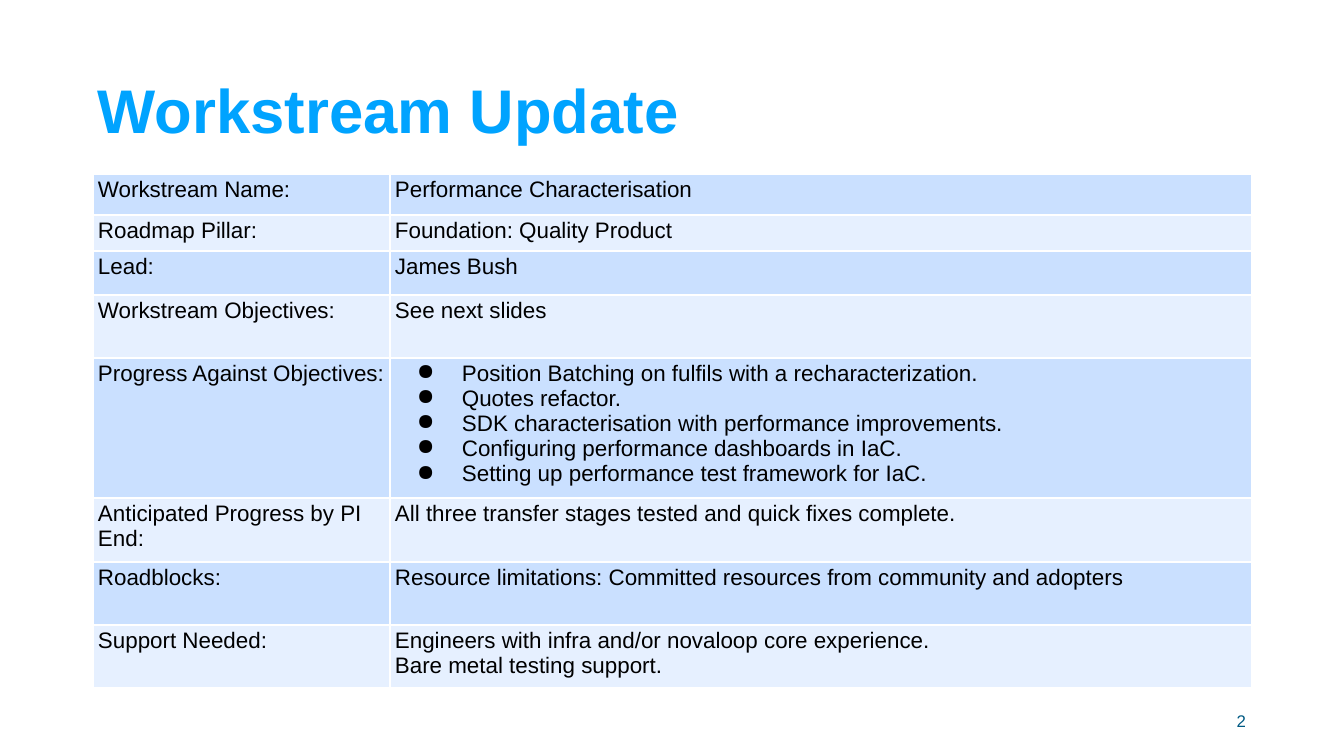
from lxml import etree
from pptx import Presentation
from pptx.dml.color import RGBColor
from pptx.enum.text import MSO_ANCHOR, PP_ALIGN
from pptx.oxml.ns import qn
from pptx.util import Emu, Pt

MIDDLE = MSO_ANCHOR.MIDDLE
LEFT, RIGHT = PP_ALIGN.LEFT, PP_ALIGN.RIGHT

PX = 914400 / 134.4
FONT = "Arial"
INSET_X, INSET_Y = 5, 3
BULLET_MARGIN, BULLET_HANG = 67, 45

TITLE_BLUE = RGBColor(0x00, 0xA3, 0xFF)
NUMBER_BLUE = RGBColor(0x00, 0x5A, 0x83)
BLACK = RGBColor(0x00, 0x00, 0x00)
WHITE = RGBColor(0xFF, 0xFF, 0xFF)
BANDS = (RGBColor(0xCA, 0xE0, 0xFF), RGBColor(0xE6, 0xF0, 0xFF))

COLUMN_WIDTHS = (297, 862)
ROWS = (
    (41, "Workstream Name:", ["Performance Characterisation"]),
    (36, "Roadmap Pillar:", ["Foundation: Quality Product"]),
    (44, "Lead:", ["James Bush"]),
    (63, "Workstream Objectives:", ["See next slides"]),
    (130, "Progress Against Objectives:", [
        "Position Batching on fulfils with a recharacterization.",
        "Quotes refactor.",
        "SDK characterisation with performance improvements.",
        "Configuring performance dashboards in IaC.",
        "Setting up performance test framework for IaC.",
    ]),
    (64, "Anticipated Progress by PI End:",
     ["All three transfer stages tested and quick fixes complete."]),
    (63, "Roadblocks:",
     ["Resource limitations: Committed resources from community and adopters"]),
    (63, "Support Needed:", [
        "Engineers with infra and/or novaloop core experience.",
        "Bare metal testing support.",
    ]),
)
BULLETED_ROW = 4


def px(length):
    return Emu(round(length * PX))


def set_insets(holder):
    holder.margin_left = holder.margin_right = px(INSET_X)
    holder.margin_top = holder.margin_bottom = px(INSET_Y)


def style_font(paragraph, size, color, bold=False):
    font = paragraph.font
    font.name = FONT
    font.size = Pt(size)
    font.bold = bold
    font.color.rgb = color


def add_text(slide, text, box, size, color, bold=False, align=LEFT, spacing=1.0):
    shape = slide.shapes.add_textbox(*map(px, box))
    frame = shape.text_frame
    frame.word_wrap = True
    frame.vertical_anchor = MIDDLE
    set_insets(frame)
    frame.text = text
    paragraph = frame.paragraphs[0]
    paragraph.alignment = align
    paragraph.line_spacing = spacing
    style_font(paragraph, size, color, bold)


def add_bullet(paragraph):
    properties = paragraph._p.get_or_add_pPr()
    properties.set("marL", str(px(BULLET_MARGIN)))
    properties.set("indent", str(-px(BULLET_HANG)))
    bullet = etree.Element(qn("a:buChar"), char="●")
    properties.insert_element_before(bullet, "a:tabLst", "a:defRPr", "a:extLst")


def set_borders(cell, color, width):
    properties = cell._tc.get_or_add_tcPr()
    for side in ("a:lnL", "a:lnR", "a:lnT", "a:lnB"):
        line = etree.SubElement(properties, qn(side), w=str(Pt(width)))
        fill = etree.SubElement(line, qn("a:solidFill"))
        etree.SubElement(fill, qn("a:srgbClr"), val=str(color))


def fill_cell(cell, lines, band, bulleted=False):
    set_insets(cell)
    set_borders(cell, WHITE, 1)
    cell.fill.solid()
    cell.fill.fore_color.rgb = band
    cell.text = "\n".join(lines)
    for paragraph in cell.text_frame.paragraphs:
        style_font(paragraph, 12, BLACK)
        if bulleted:
            add_bullet(paragraph)


def add_status_table(slide, left, top):
    height = sum(row[0] for row in ROWS)
    box = (left, top, sum(COLUMN_WIDTHS), height)
    table = slide.shapes.add_table(len(ROWS), len(COLUMN_WIDTHS), *map(px, box)).table
    table.first_row = False
    table.horz_banding = False
    for column, width in zip(table.columns, COLUMN_WIDTHS):
        column.width = px(width)
    for index, (row_height, label, lines) in enumerate(ROWS):
        table.rows[index].height = px(row_height)
        band = BANDS[index % 2]
        fill_cell(table.cell(index, 0), [label], band)
        fill_cell(table.cell(index, 1), lines, band, index == BULLETED_ROW)


def main():
    presentation = Presentation()
    presentation.slide_width = px(1344)
    presentation.slide_height = px(756)
    slide = presentation.slides.add_slide(presentation.slide_layouts[6])
    add_text(slide, "Workstream Update", (93, 40, 1040, 147), 33, TITLE_BLUE,
             bold=True, spacing=0.9)
    add_status_table(slide, 93, 174)
    add_text(slide, "2", (949, 700, 302, 41), 9, NUMBER_BLUE, align=RIGHT)
    presentation.save("out.pptx")


if __name__ == "__main__":
    main()
